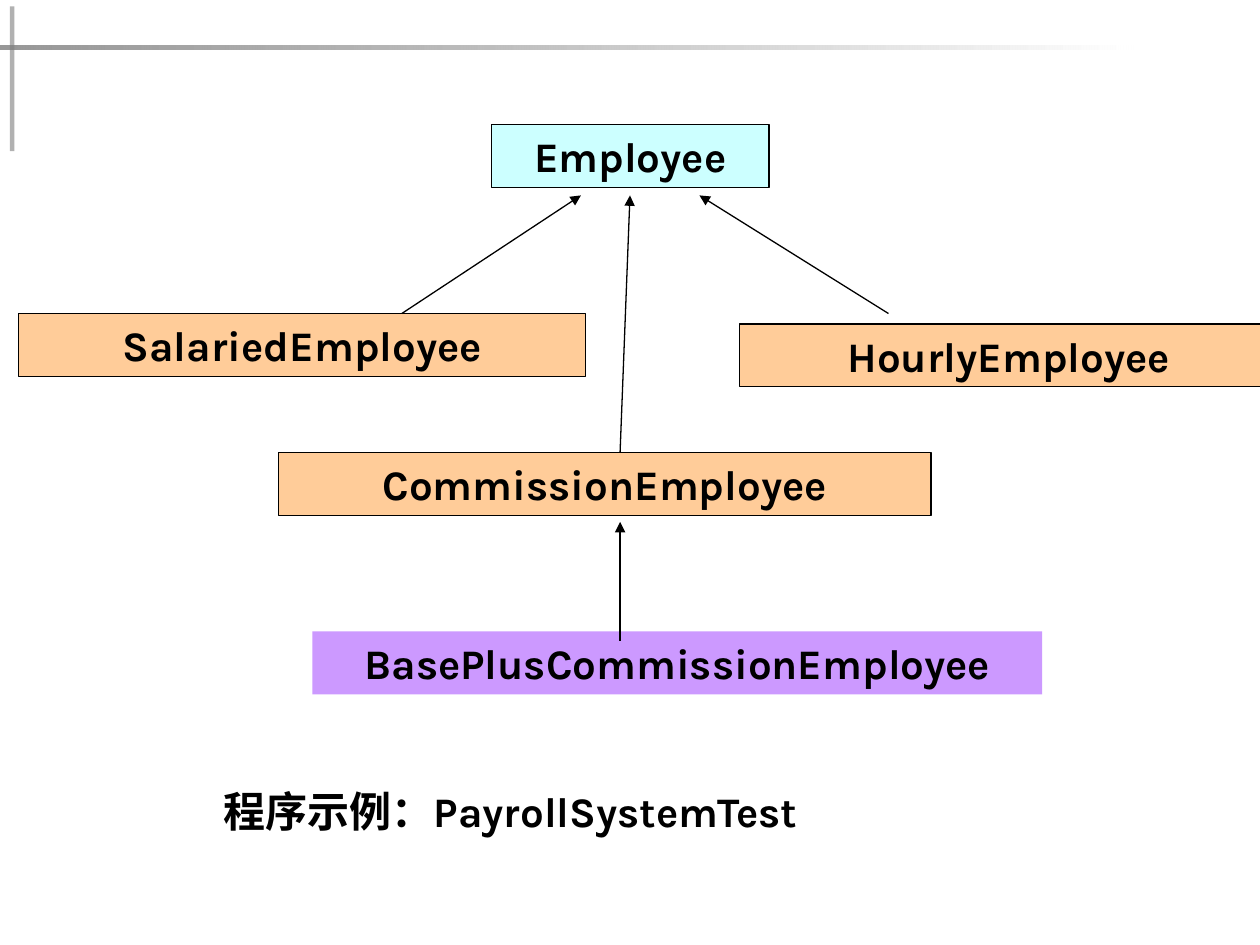
from pptx import Presentation
from pptx.dml.color import RGBColor
from pptx.enum.shapes import MSO_CONNECTOR, MSO_SHAPE
from pptx.enum.text import MSO_ANCHOR, MSO_AUTO_SIZE, PP_ALIGN
from pptx.oxml.ns import qn
from pptx.util import Cm, Pt

RECT = MSO_SHAPE.RECTANGLE
STRAIGHT = MSO_CONNECTOR.STRAIGHT
CENTER = PP_ALIGN.CENTER
TOP = MSO_ANCHOR.TOP
FIT_SHAPE = MSO_AUTO_SIZE.SHAPE_TO_FIT_TEXT

FONT = "Karla"
BLACK, ORANGE = "000000", "FFCC99"
BOX_HEIGHT = 1.27

# name, left, top, width, fill, line width in points
CLASSES = [
    ("Employee", 9.53, 0, 5.59, "CCFFFF", 1),
    ("SalariedEmployee", 0, 3.81, 11.43, ORANGE, 0.75),
    ("CommissionEmployee", 5.23, 6.61, 13.16, ORANGE, 0.75),
    ("HourlyEmployee", 14.53, 4.02, 10.85, ORANGE, 0.75),
    ("BasePlusCommissionEmployee", 5.92, 10.22, 14.71, "CC99FF", None),
]
# parent x, y, child x, y
INHERITANCE = [
    (11.33, 1.43, 7.72, 3.81),
    (12.32, 1.43, 12.12, 6.61),
    (13.72, 1.43, 17.53, 3.81),
    (12.12, 8.01, 12.12, 10.42),
]


def rgb(color):
    return RGBColor.from_string(color)


def add_rect(s, left, top, width, height):
    sp = s.shapes.add_shape(RECT, Cm(left), Cm(top), Cm(width), Cm(height))
    sp.shadow.inherit = False
    sp.line.fill.background()
    return sp


def set_opacity(sp, percent):
    """Apply the opacity to the first colour of the shape's fill."""
    clr = next(sp._element.spPr.iter(qn("a:srgbClr")))
    clr.makeelement(qn("a:alpha"), {})
    alpha = clr.makeelement(qn("a:alpha"), {"val": str(percent * 1000)})
    clr.append(alpha)


def write_label(sp, text):
    tf = sp.text_frame
    tf.word_wrap = True
    tf.auto_size = FIT_SHAPE
    tf.vertical_anchor = TOP
    p = tf.paragraphs[0]
    p.alignment = CENTER
    r = p.add_run()
    r.text = text
    r.font.name = FONT
    r.font.size = Pt(24)
    r.font.bold = True
    r.font.color.rgb = rgb(BLACK)


def add_rulers(s, left, top, width, height):
    """Crossed bars in the top left corner of the slide."""
    upright = add_rect(s, left + 0.2, top, 0.09, height)
    upright.fill.solid()
    upright.fill.fore_color.rgb = rgb("1C1C1C")
    set_opacity(upright, 34)

    level = add_rect(s, left, top + 0.78, width, 0.09)
    level.fill.gradient()
    level.fill.gradient_angle = 0
    for stop, color in zip(level.fill.gradient_stops, ("808080", "FFFFFF")):
        stop.color.rgb = rgb(color)
    set_opacity(level, 81)


def add_class_box(s, name, left, top, width, fill, line_width):
    sp = add_rect(s, left, top, width, BOX_HEIGHT)
    sp.fill.solid()
    sp.fill.fore_color.rgb = rgb(fill)
    if line_width:
        sp.line.color.rgb = rgb(BLACK)
        sp.line.width = Pt(line_width)
    write_label(sp, name)


def add_inheritance_arrow(s, x1, y1, x2, y2):
    """Line with its arrowhead at the parent end, (x1, y1)."""
    line = s.shapes.add_connector(STRAIGHT, Cm(x1), Cm(y1), Cm(x2), Cm(y2))
    line.line.color.rgb = rgb(BLACK)
    line.line.width = Pt(0.75)
    ln = line.line._get_or_add_ln()
    ln.append(ln.makeelement(qn("a:headEnd"), {"type": "triangle"}))
    sp_pr = line._element.spPr
    sp_pr.append(sp_pr.makeelement(qn("a:effectLst"), {}))


def add_hierarchy(s, left, top):
    for name, x, y, width, fill, line_width in CLASSES:
        add_class_box(s, name, left + x, top + y, width, fill, line_width)
    for x1, y1, x2, y2 in INHERITANCE:
        add_inheritance_arrow(s, left + x1, top + y1, left + x2, top + y2)


def add_caption(s, left, top, width):
    box = s.shapes.add_textbox(Cm(left), Cm(top), Cm(width), Cm(BOX_HEIGHT))
    write_label(box, "程序示例：PayrollSystemTest")


def main():
    prs = Presentation()
    prs.slide_width, prs.slide_height = Cm(25.4), Cm(19.05)
    s = prs.slides.add_slide(prs.slide_layouts[6])
    add_rulers(s, 0, 0.13, 22.86, 2.92)
    add_hierarchy(s, 0.38, 2.51)
    add_caption(s, 1.9, 15.72, 16.79)
    prs.save("out.pptx")


if __name__ == "__main__":
    main()
